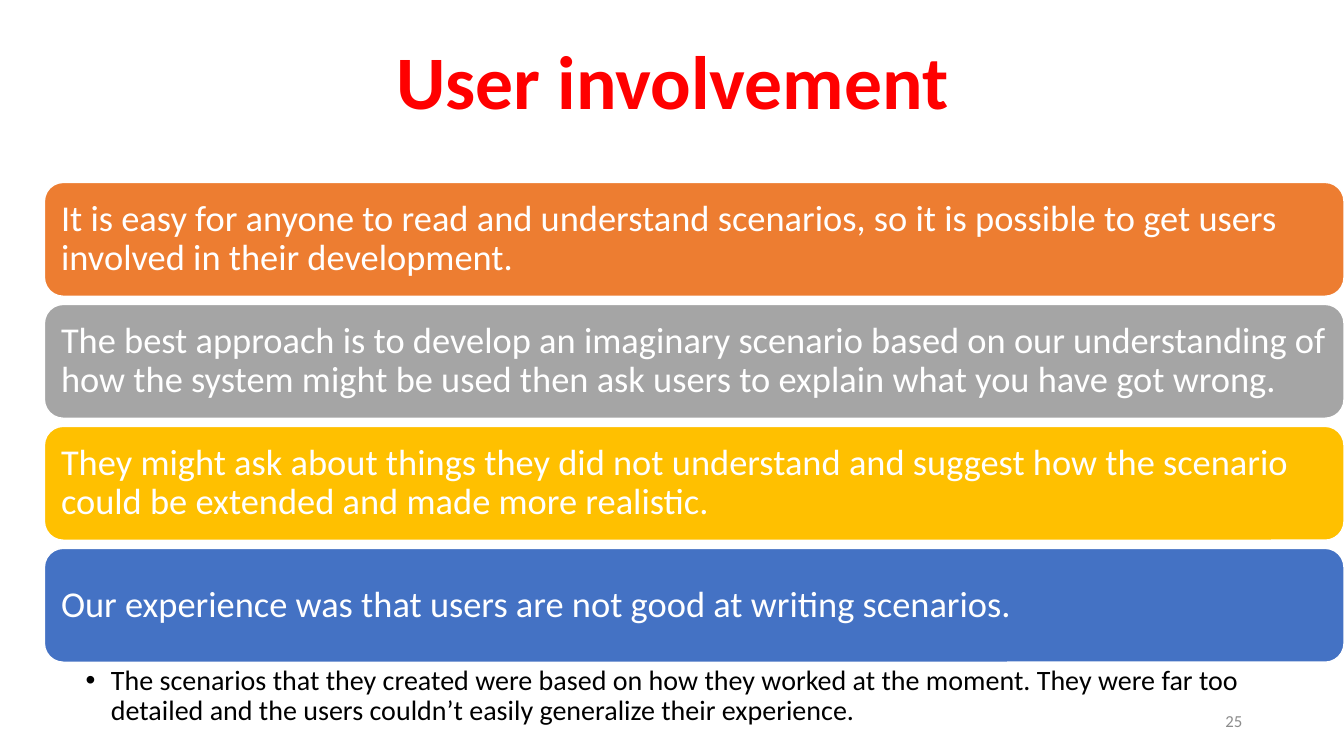
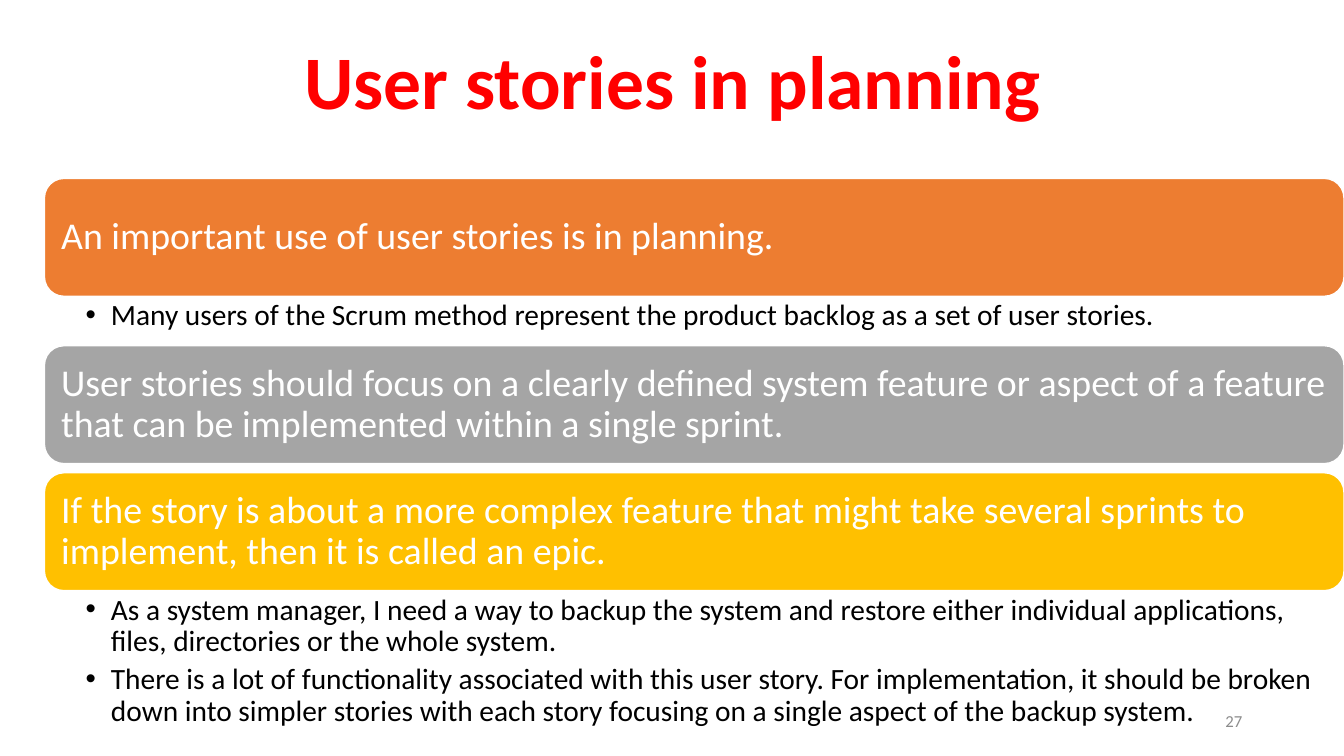
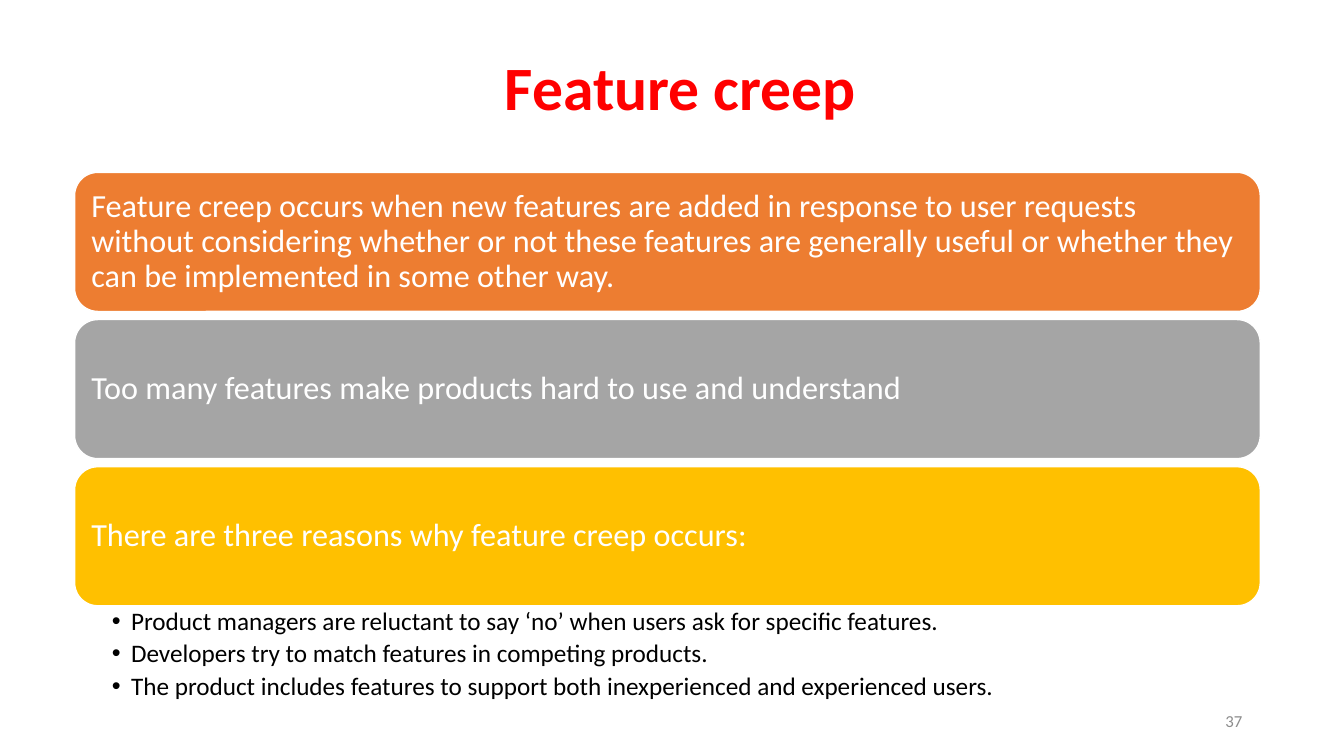
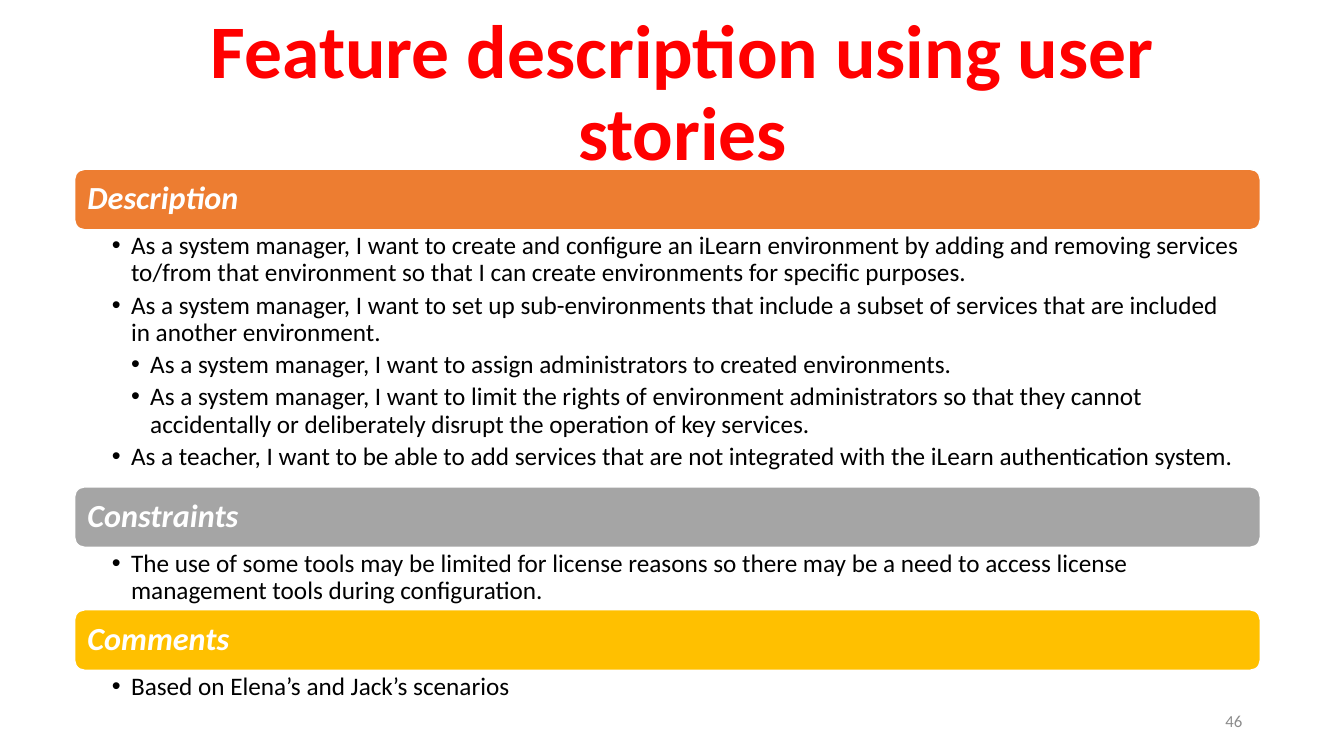
from dataclasses import dataclass

from pptx import Presentation
from pptx.dml.color import RGBColor
from pptx.enum.shapes import MSO_SHAPE
from pptx.enum.text import MSO_ANCHOR, MSO_AUTO_SIZE, PP_ALIGN
from pptx.oxml.ns import qn
from pptx.util import Inches, Pt
from lxml.etree import SubElement

FONT = "Calibri"
RED, WHITE, BLACK, GREY = "FF0000", "FFFFFF", "000000", "8C8C8C"
BAND_COLORS = ["ED7D31", "A5A5A5", "FFC000", "4472C4"]
TITLE_ONLY = 5


@dataclass
class Stack:
    """Measures, in inches and points, of one column of bands and bullets."""
    left: float
    top: float
    width: float
    band_height: float
    gap: float
    band_size: int
    bullet_size: int
    band_inset: float
    bullet_insets: tuple
    indent: float
    emphasis: bool = False


@dataclass
class Section:
    """A band heading, with (level, text) bullets and the height they take."""
    heading: str
    bullets: tuple = ()
    bullets_height: float = 0


def rgb(value):
    return RGBColor.from_string(value)


def add_run(paragraph, text, size, color, bold=False, italic=False):
    run = paragraph.add_run()
    run.text = text
    font = run.font
    font.name, font.size = FONT, Pt(size)
    font.bold, font.italic = bold, italic
    font.color.rgb = rgb(color)


def set_frame(frame, anchor, insets=(0.1, 0.05, 0.1, 0.05)):
    frame.word_wrap = True
    frame.auto_size = MSO_AUTO_SIZE.NONE
    frame.vertical_anchor = anchor
    (frame.margin_left, frame.margin_top,
     frame.margin_right, frame.margin_bottom) = map(Inches, insets)


def add_title(slide, text, left, top, size):
    title = slide.shapes.title
    title.left, title.top = Inches(left), Inches(top)
    title.width, title.height = Inches(11.5), Inches(0.88)
    set_frame(title.text_frame, MSO_ANCHOR.MIDDLE)
    paragraph = title.text_frame.paragraphs[0]
    paragraph.alignment = PP_ALIGN.CENTER
    paragraph.line_spacing = 0.9
    add_run(paragraph, text, size, RED, bold=True)


def add_page_number(slide, number):
    box = slide.shapes.add_textbox(Inches(9.42), Inches(6.95), Inches(3), Inches(0.4))
    set_frame(box.text_frame, MSO_ANCHOR.MIDDLE)
    paragraph = box.text_frame.paragraphs[0]
    paragraph.alignment = PP_ALIGN.RIGHT
    add_run(paragraph, str(number), 12, GREY)


def add_band(slide, stack, top, heading, color):
    band = slide.shapes.add_shape(
        MSO_SHAPE.ROUNDED_RECTANGLE, Inches(stack.left), Inches(top),
        Inches(stack.width), Inches(stack.band_height))
    band.shadow.inherit = False
    band.fill.solid()
    band.fill.fore_color.rgb = rgb(color)
    band.line.color.rgb = rgb(WHITE)
    band.line.width = Pt(1)
    inset = stack.band_inset
    set_frame(band.text_frame, MSO_ANCHOR.MIDDLE, (inset, inset, 0.1, inset))
    paragraph = band.text_frame.paragraphs[0]
    paragraph.alignment = PP_ALIGN.LEFT
    paragraph.line_spacing = 0.9
    add_run(paragraph, heading, stack.band_size, WHITE, stack.emphasis, stack.emphasis)


def set_bullet(paragraph, level, indent):
    paragraph.level = level
    properties = paragraph._p.get_or_add_pPr()
    properties.set("marL", str(Inches(indent * level)))
    properties.set("indent", str(-Inches(indent)))
    SubElement(properties, qn("a:buFont")).set("typeface", "Arial")
    SubElement(properties, qn("a:buChar")).set("char", "•")


def add_bullets(slide, stack, top, section):
    box = slide.shapes.add_textbox(
        Inches(stack.left), Inches(top),
        Inches(stack.width), Inches(section.bullets_height))
    frame = box.text_frame
    set_frame(frame, MSO_ANCHOR.TOP, stack.bullet_insets)
    for index, (level, text) in enumerate(section.bullets):
        paragraph = frame.add_paragraph() if index else frame.paragraphs[0]
        set_bullet(paragraph, level, stack.indent)
        paragraph.line_spacing = 0.9
        paragraph.space_after = Pt(0.2 * stack.bullet_size)
        add_run(paragraph, text, stack.bullet_size, BLACK)


def add_stack(slide, stack, sections):
    """Flow the sections downwards; a band without bullets is followed by a gap."""
    top = stack.top
    for section, color in zip(sections, BAND_COLORS):
        add_band(slide, stack, top, section.heading, color)
        top += stack.band_height
        if section.bullets:
            add_bullets(slide, stack, top, section)
            top += section.bullets_height
        else:
            top += stack.gap


def wide_stack(top, band_height, gap, band_size, bullet_size):
    return Stack(0.44, top, 12.89, band_height, gap, band_size, bullet_size,
                 0.11, (0.41, 0.04, 0.2, 0.04), 0.25)


def narrow_stack(top, band_height, gap, emphasis=False):
    return Stack(0.74, top, 11.76, band_height, gap, 23, 18,
                 0.1, (0.37, 0.03, 0.18, 0.03), 0.19, emphasis)


INVOLVEMENT = [
    Section("It is easy for anyone to read and understand scenarios, so it is possible "
            "to get users involved in their development."),
    Section("The best approach is to develop an imaginary scenario based on our "
            "understanding of how the system might be used then ask users to explain "
            "what you have got wrong."),
    Section("They might ask about things they did not understand and suggest how the "
            "scenario could be extended and made more realistic."),
    Section("Our experience was that users are not good at writing scenarios.", (
        (1, "The scenarios that they created were based on how they worked at the moment. "
            "They were far too detailed and the users couldn’t easily generalize their "
            "experience."),
    ), 0.69),
]

PLANNING = [
    Section("An important use of user stories is in planning.", (
        (1, "Many users of the Scrum method represent the product backlog as a set of "
            "user stories."),
    ), 0.49),
    Section("User stories should focus on a clearly defined system feature or aspect of "
            "a feature that can be implemented within a single sprint."),
    Section("If the story is about a more complex feature that might take several sprints "
            "to implement, then it is called an epic.", (
        (1, "As a system manager, I need a way to backup the system and restore either "
            "individual applications, files, directories or the whole system."),
        (1, "There is a lot of functionality associated with this user story. For "
            "implementation, it should be broken down into simpler stories with each "
            "story focusing on a single aspect of the backup system."),
    ), 1.44),
]

FEATURE_CREEP = [
    Section("Feature creep occurs when new features are added in response to user "
            "requests without considering whether or not these features are generally "
            "useful or whether they can be implemented in some other way."),
    Section("Too many features make products hard to use and understand"),
    Section("There are three reasons why feature creep occurs:", (
        (1, "Product managers are reluctant to say ‘no’ when users ask for specific "
            "features."),
        (1, "Developers try to match features in competing products."),
        (1, "The product includes features to support both inexperienced and "
            "experienced users."),
    ), 1.02),
]

DESCRIPTION = [
    Section("Description", (
        (1, "As a system manager, I want to create and configure an iLearn environment "
            "by adding and removing services to/from that environment so that I can "
            "create environments for specific purposes."),
        (1, "As a system manager, I want to set up sub-environments that include a "
            "subset of services that are included in another environment."),
        (2, "As a system manager, I want to assign administrators to created "
            "environments."),
        (2, "As a system manager, I want to limit the rights of environment "
            "administrators so that they cannot accidentally or deliberately disrupt "
            "the operation of key services."),
        (1, "As a teacher, I want to be able to add services that are not integrated "
            "with the iLearn authentication system."),
    ), 2.55),
    Section("Constraints", (
        (1, "The use of some tools may be limited for license reasons so there may be a "
            "need to access license management tools during configuration."),
    ), 0.62),
    Section("Comments", ((1, "Based on Elena’s and Jack’s scenarios"),), 0.42),
]


def main():
    deck = Presentation()
    deck.slide_width, deck.slide_height = Inches(13.33), Inches(7.5)
    pages = [
        (25, ("User involvement", 0.92, 0.4, 54),
         wide_stack(1.81, 1.13, 0.08, 26, 20), INVOLVEMENT),
        (27, ("User stories in planning", 0.92, 0.4, 54),
         wide_stack(1.77, 1.17, 0.09, 27, 21), PLANNING),
        (37, ("Feature creep", 1, 0.46, 44),
         narrow_stack(1.71, 1.38, 0.08), FEATURE_CREEP),
        (46, ("Feature description using user stories", 1.02, 0.5, 54),
         narrow_stack(1.68, 0.6, 0, emphasis=True), DESCRIPTION),
    ]
    for number, title, stack, sections in pages:
        slide = deck.slides.add_slide(deck.slide_layouts[TITLE_ONLY])
        add_title(slide, *title)
        add_stack(slide, stack, sections)
        add_page_number(slide, number)
    deck.save("out.pptx")


if __name__ == "__main__":
    main()
